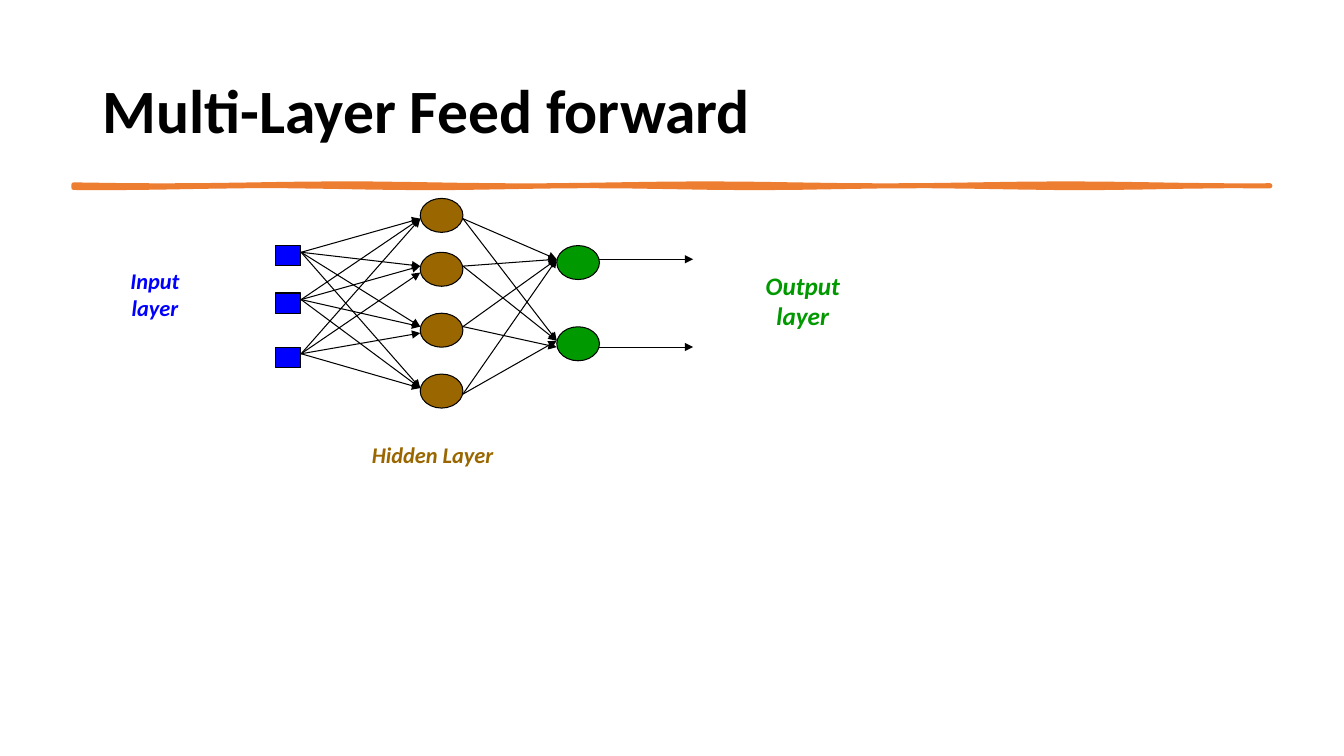
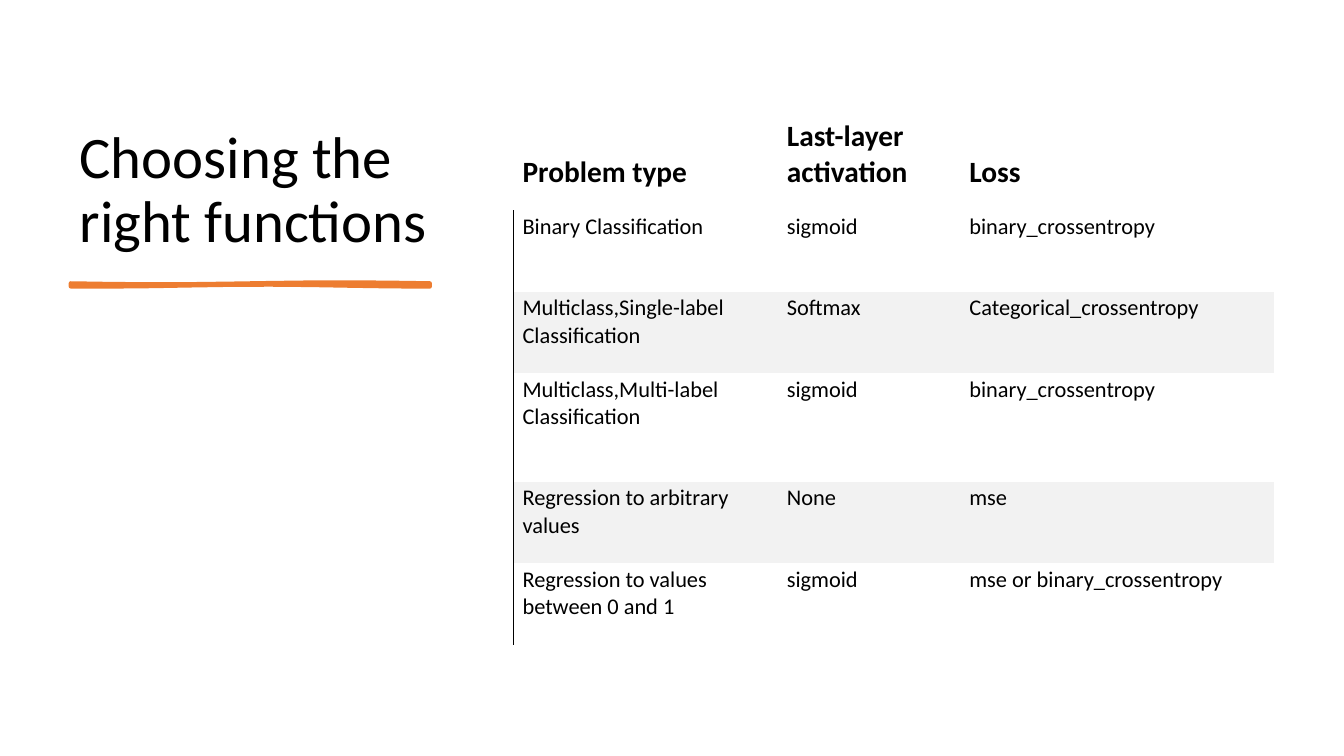
from dataclasses import dataclass
from itertools import product
from math import sin

from lxml import etree
from pptx import Presentation
from pptx import util as u
from pptx.dml import color
from pptx.enum import shapes, text
from pptx.oxml import ns


@dataclass(frozen=True)
class Theme:
    """Colours, font and type sizes shared by the slides."""

    font: str = "Calibri"
    ink: color.RGBColor = color.RGBColor(0x00, 0x00, 0x00)
    accent: color.RGBColor = color.RGBColor(0xED, 0x7D, 0x31)
    band: color.RGBColor = color.RGBColor(0xF2, 0xF2, 0xF2)
    input: color.RGBColor = color.RGBColor(0x00, 0x00, 0xFF)
    hidden: color.RGBColor = color.RGBColor(0x99, 0x66, 0x00)
    output: color.RGBColor = color.RGBColor(0x00, 0x99, 0x00)
    wide_title: int = 44
    side_title: int = 42
    header: int = 21
    large_label: int = 18
    body: int = 16
    hairline: float = 0.75


THEME = Theme()
NO_STYLE_NO_GRID = "{2D5ABB26-0587-4C30-8999-92F81FD0307C}"
TABLE_ROWS = (
    ("Problem type", "Last-layer activation", "Loss"),
    ("Binary Classification", "sigmoid", "binary_crossentropy"),
    ("Multiclass,Single-label Classification", "Softmax", "Categorical_crossentropy"),
    ("Multiclass,Multi-label Classification", "sigmoid", "binary_crossentropy"),
    ("Regression to arbitrary values", "None", "mse"),
    ("Regression to values between 0 and 1", "sigmoid", "mse or binary_crossentropy"),
)


def points(*lengths):
    """Convert lengths in points for python-pptx."""
    return [u.Pt(length) for length in lengths]


def style_font(paragraph, size, colour, bold=False, italic=False):
    """Set the font of a whole paragraph."""
    font = paragraph.font
    font.name, font.size, font.bold, font.italic = THEME.font, u.Pt(size), bold, italic
    font.color.rgb = colour


def add_titled_slide(presentation, title, box, size, anchor, bold=False):
    """Add a title-only slide with its title placed in the box."""
    slide = presentation.slides.add_slide(presentation.slide_layouts[5])
    shape = slide.shapes.title
    shape.left, shape.top, shape.width, shape.height = points(*box)
    frame = shape.text_frame
    frame.text = title
    frame.word_wrap = True
    frame.auto_size = text.MSO_AUTO_SIZE.NONE
    frame.vertical_anchor = anchor
    paragraph = frame.paragraphs[0]
    paragraph.alignment = text.PP_ALIGN.LEFT
    paragraph.line_spacing = 0.9
    style_font(paragraph, size, THEME.ink, bold)
    return slide


def paint(shape, fill, line, weight):
    """Give a shape a plain fill and outline without a shadow."""
    shape.shadow.inherit = False
    shape.fill.solid()
    shape.fill.fore_color.rgb = fill
    shape.line.color.rgb = line
    shape.line.width = u.Pt(weight)


def add_brush_rule(slide, left, middle, width, weight):
    """Draw a wavering brush stroke around a horizontal line."""
    steps = round(width / 30)
    along = [width * step / steps for step in range(steps + 1)]
    upper = [(x, -0.8 + 0.7 * sin(x / 41)) for x in along]
    lower = [(x, 0.8 + 0.7 * sin(x / 37 + 1)) for x in reversed(along)]
    outline = [points(left + x, middle + y) for x, y in upper + lower]
    builder = slide.shapes.build_freeform(*outline[0])
    builder.add_line_segments(outline[1:], close=True)
    paint(builder.convert_to_shape(), THEME.accent, THEME.accent, weight)


def add_arrow(group, start, end):
    """Add a thin arrow between two places."""
    connector = group.shapes.add_connector(
        shapes.MSO_CONNECTOR.STRAIGHT, *points(*start, *end))
    connector.line.color.rgb = THEME.ink
    connector.line.width = u.Pt(THEME.hairline)
    properties = connector._element.spPr
    etree.SubElement(properties.find(ns.qn("a:ln")), ns.qn("a:tailEnd"), type="triangle")
    etree.SubElement(properties, ns.qn("a:effectLst"))


def add_network(slide, left, top):
    """Draw the three-layer network from its top left corner."""
    group = slide.shapes.add_group_shape()
    oval, square = shapes.MSO_SHAPE.OVAL, shapes.MSO_SHAPE.RECTANGLE
    layers = (
        (oval, 103.4, (30.5, 24.3), (0, 38.5, 82, 125.5), THEME.hidden),
        (square, 0, (18, 14.5), (33.7, 67.6, 106.4), THEME.input),
        (oval, 200.9, (30.5, 24.3), (33.7, 91.7), THEME.output),
    )
    for kind, x, size, tops, colour in layers:
        for y in tops:
            node = group.shapes.add_shape(kind, *points(left + x, top + y, *size))
            paint(node, colour, THEME.ink, THEME.hairline)

    input_exits = (38.5, 72.3, 111)
    hidden_entries = (14.5, 48.4, 91.6, 135.5)
    hidden_exits = (14.5, 48.4, 91.6, 139.8)
    output_entries = (43.5, 101.7)
    bundles = (
        (18.3, input_exits, 103.4, hidden_entries, {(2, 1), (2, 2)}),
        (133.9, hidden_exits, 200.9, output_entries, {(2, 1)}),
    )
    for start_x, exits, end_x, entries, lowered in bundles:
        for (i, start_y), (j, end_y) in product(enumerate(exits), enumerate(entries)):
            drop = 4.6 if (i, j) in lowered else 0
            add_arrow(group, (left + start_x, top + start_y),
                      (left + end_x, top + end_y + drop))
    for y in (43.5, 106.2):
        add_arrow(group, (left + 231.3, top + y), (left + 298.3, top + y))


def add_label(slide, lines, box, size, colour):
    """Add a centred layer name, one paragraph a line."""
    frame = slide.shapes.add_textbox(*points(*box)).text_frame
    frame.word_wrap = False
    frame.auto_size = text.MSO_AUTO_SIZE.SHAPE_TO_FIT_TEXT
    frame.text = "\n".join(lines)
    for paragraph in frame.paragraphs:
        paragraph.alignment = text.PP_ALIGN.CENTER
        style_font(paragraph, size, colour, bold=True, italic=True)


def add_left_border(cell):
    """Draw a thin line on the left side of a cell."""
    properties = cell._tc.get_or_add_tcPr()
    line = etree.Element(ns.qn("a:lnL"), w=str(u.Pt(THEME.hairline)))
    fill = etree.SubElement(line, ns.qn("a:solidFill"))
    etree.SubElement(fill, ns.qn("a:srgbClr"), val=str(THEME.ink))
    properties.insert(0, line)


def fill_cell(cell, content, row, column):
    """Write one cell and style it by its place in the table."""
    header = row == 0
    cell.text = content
    cell.margin_left, cell.margin_top, cell.margin_right, cell.margin_bottom = points(
        6.6, 2, 10, 14.4)
    cell.vertical_anchor = text.MSO_ANCHOR.BOTTOM if header else text.MSO_ANCHOR.TOP
    style_font(cell.text_frame.paragraphs[0],
               THEME.header if header else THEME.body, THEME.ink, bold=header)
    if row and row % 2 == 0:
        cell.fill.solid()
        cell.fill.fore_color.rgb = THEME.band
    else:
        cell.fill.background()
    if column == 0 and not header:
        add_left_border(cell)


def add_function_table(slide, left, top):
    """Add the table of activations and losses."""
    widths = (188.8, 130.4, 224.5)
    heights = (71.3, 58.2, 58.2, 77.6, 58.2, 58.2)
    table = slide.shapes.add_table(
        len(heights), len(widths),
        *points(left, top, sum(widths), sum(heights))).table
    table.first_row = table.horz_banding = False
    table._tbl.tblPr.find(ns.qn("a:tableStyleId")).text = NO_STYLE_NO_GRID
    for column, width in zip(table.columns, widths):
        column.width = u.Pt(width)
    for row, height in zip(table.rows, heights):
        row.height = u.Pt(height)
    for i, contents in enumerate(TABLE_ROWS):
        for j, content in enumerate(contents):
            fill_cell(table.cell(i, j), content, i, j)


def build_network_slide(presentation):
    """Build the slide with the feed-forward network."""
    slide = add_titled_slide(presentation, "Multi-Layer Feed forward",
                             (66, 28.75, 828, 104.4), THEME.wide_title,
                             text.MSO_ANCHOR.MIDDLE, bold=True)
    add_brush_rule(slide, 52.6, 132.7, 854.6, 3.25)
    add_network(slide, 196.8, 141.7)
    add_label(slide, ("Input", "layer"), (85.5, 187.5, 50.4, 46), THEME.body, THEME.input)
    add_label(slide, ("Output", "layer"), (539.2, 189.6, 68.4, 51),
              THEME.large_label, THEME.output)
    add_label(slide, ("Hidden Layer",), (257.5, 311.4, 103, 26.6), THEME.body, THEME.hidden)


def build_functions_slide(presentation):
    """Build the slide with the table of functions."""
    slide = add_titled_slide(presentation, "Choosing the right functions",
                             (49.7, 50.4, 270, 135.4), THEME.side_title,
                             text.MSO_ANCHOR.BOTTOM)
    add_brush_rule(slide, 50.5, 203.2, 256.5, 3)
    add_function_table(slide, 366.7, 78.8)


def main():
    """Build and save the presentation."""
    presentation = Presentation()
    presentation.slide_width, presentation.slide_height = points(960, 540)
    build_network_slide(presentation)
    build_functions_slide(presentation)
    presentation.save("out.pptx")


if __name__ == "__main__":
    main()
